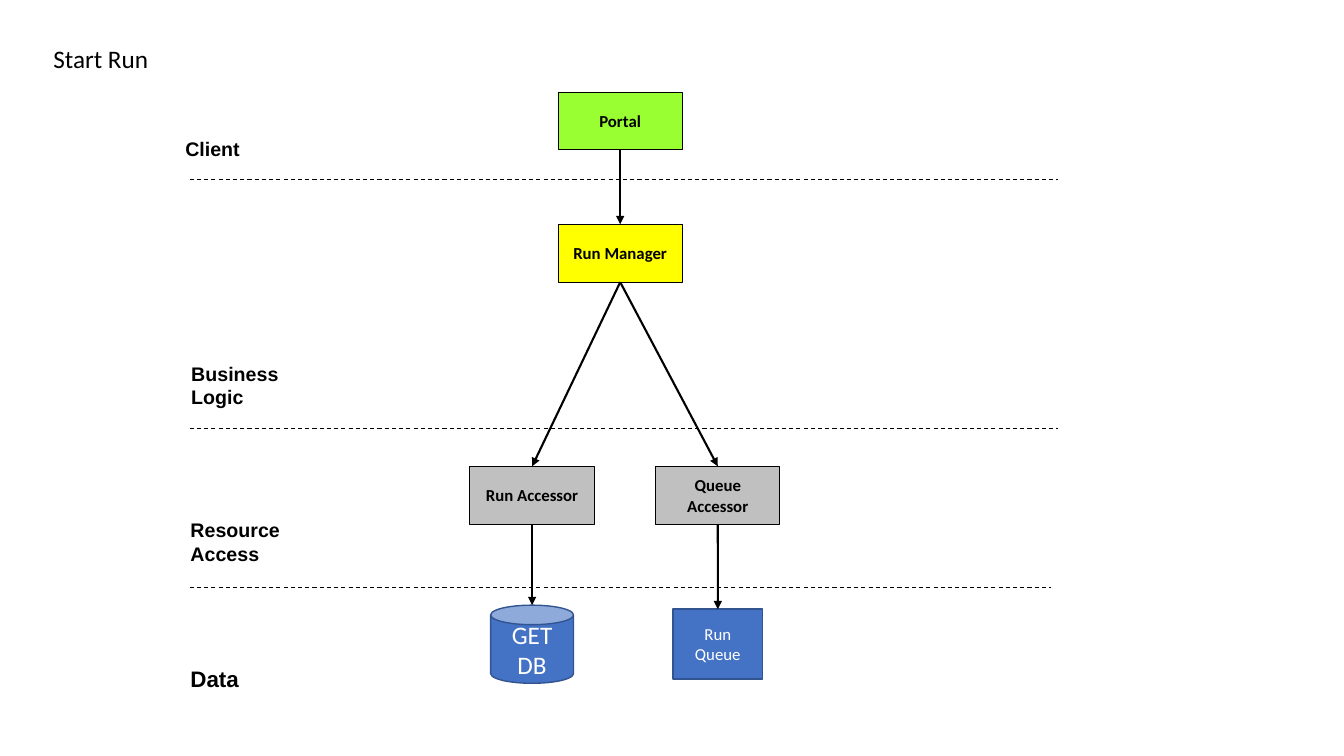
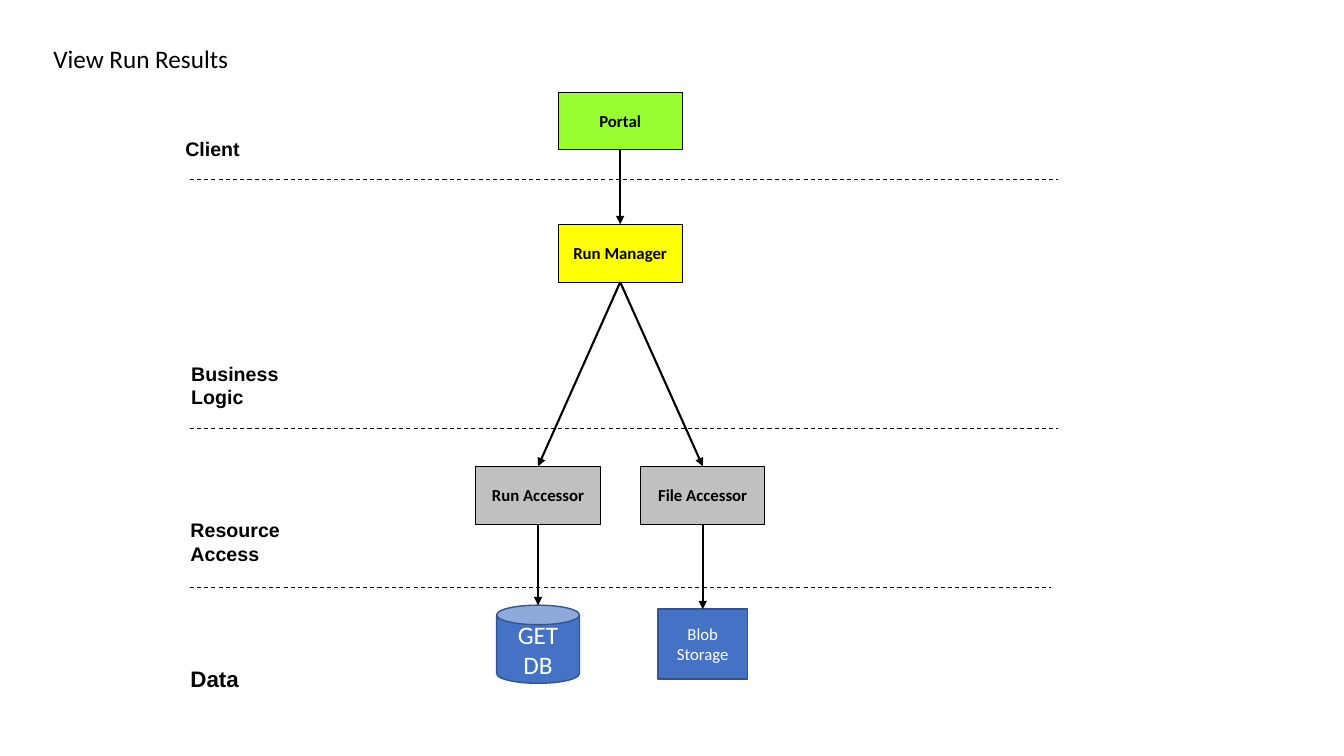
from lxml.etree import SubElement as sub
from pptx import Presentation
from pptx.dml.color import RGBColor as RGB
from pptx.enum.dml import MSO_LINE as DASH
from pptx.enum.shapes import MSO_CONNECTOR as LINK, MSO_SHAPE as SHAPE
from pptx.enum.text import MSO_ANCHOR as ANCHOR, MSO_AUTO_SIZE as FIT, PP_ALIGN as ALIGN
from pptx.oxml.ns import qn
from pptx.util import Cm, Pt

INK = {"black": "000000", "white": "FFFFFF", "green": "99FF33", "yellow": "FFFF00",
       "grey": "C0C0C0", "blue": "4472C4", "navy": "325491"}

TITLE = {"name": "Calibri", "size": Pt(18), "bold": False}
LABEL = {"name": "Arial", "size": Pt(14), "bold": True}
DATA = {**LABEL, "size": Pt(16)}
NODE = {"name": "Calibri", "size": Pt(12), "bold": True}
STORE = {**NODE, "bold": False}

# Layer dividers: right end, height
RULES = [(26.67, 4.52), (26.67, 10.79), (26.49, 14.81)]
# Layer names: left, top, text, format
LAYERS = [(4.42, 3.33, "Client", LABEL), (4.57, 8.99, "Business\vLogic", LABEL),
          (4.55, 12.93, "Resource\vAccess", LABEL), (4.55, 16.64, "Data", DATA)]
MID = 15.63
# Each flow: title, then the two branches as centre, accessor, store
FLOWS = [
    ("Start Run", (13.41, "Run Accessor", "GET DB"), (18.09, "Queue Accessor", "Run Queue")),
    ("View Run Results", (13.56, "Run Accessor", "GET DB"), (17.71, "File Accessor", "Blob Storage")),
]


def color(name):
    return RGB.from_string(INK[name])


def write(frame, text, style, ink="black", align=ALIGN.LEFT, anchor=ANCHOR.TOP):
    frame.text = text
    frame.word_wrap = True
    frame.auto_size = FIT.NONE
    frame.vertical_anchor = anchor
    para = frame.paragraphs[0]
    para.alignment = align
    for key, value in style.items():
        setattr(para.font, key, value)
    para.font.color.rgb = color(ink)


def add_title(slide, text):
    title = slide.shapes.title
    title.left, title.top, title.width, title.height = Cm(1.09), Cm(0.97), Cm(12), Cm(1.02)
    write(title.text_frame, text, TITLE)


def add_line(slide, start, end, width):
    line = slide.shapes.add_connector(LINK.STRAIGHT, *map(Cm, start + end))
    line.line.color.rgb = color("black")
    line.line.width = Pt(width)
    sub(line._element.spPr, qn("a:effectLst"))
    return line


def add_layers(slide):
    for right, y in RULES:
        add_line(slide, (4.78, y), (right, y), 0.75).line.dash_style = DASH.DASH
    for left, top, text, style in LAYERS:
        box = slide.shapes.add_textbox(Cm(left), Cm(top), Cm(3.2), Cm(1.45))
        write(box.text_frame, text, style)


def add_box(slide, mid, top, size, text, fill, style=NODE, ink="black",
            edge=("black", 0.75), kind=SHAPE.RECTANGLE):
    """Draw a captioned shape centred on mid."""
    wide, high = size
    box = slide.shapes.add_shape(kind, Cm(mid - wide / 2), Cm(top), Cm(wide), Cm(high))
    box.shadow.inherit = False
    box.fill.solid()
    box.fill.fore_color.rgb = color(fill)
    box.line.color.rgb = color(edge[0])
    box.line.width = Pt(edge[1])
    write(box.text_frame, text, style, ink, ALIGN.CENTER, ANCHOR.MIDDLE)
    return box


def add_node(slide, mid, top, text, fill):
    return add_box(slide, mid, top, (3.13, 1.46), text, fill)


def add_store(slide, mid, text, can):
    look = {"style": STORE, "ink": "white", "edge": ("navy", 1)}
    if can:
        look.update(style={**STORE, "size": Pt(18)}, kind=SHAPE.CAN)
        return add_box(slide, mid, 15.25, (2.09, 1.97), text, "blue", **look)
    return add_box(slide, mid, 15.35, (2.25, 1.76), text, "blue", **look)


def add_arrow(slide, upper, lower):
    """Join the bottom of upper to the top of lower."""
    line = add_line(slide, (0, 0), (1, 1), 1.5)
    sub(line.line._get_or_add_ln(), qn("a:tailEnd"), type="triangle")
    line.begin_connect(upper, 2)
    # A can numbers its top site 1, so the end is placed by hand
    line.end_connect(lower, int(lower.auto_shape_type == SHAPE.CAN))
    line.end_x, line.end_y = lower.left + lower.width // 2, lower.top


def add_flow(deck, title, *branches):
    slide = deck.slides.add_slide(deck.slide_layouts[5])
    add_title(slide, title)
    add_layers(slide)
    portal = add_node(slide, MID, 2.32, "Portal", "green")
    boss = add_node(slide, MID, 5.65, "Run Manager", "yellow")
    add_arrow(slide, portal, boss)
    for spot, (mid, name, data) in enumerate(branches):
        access = add_node(slide, mid, 11.75, name, "grey")
        store = add_store(slide, mid, data, can=spot == 0)
        add_arrow(slide, boss, access)
        add_arrow(slide, access, store)


def main():
    deck = Presentation()
    deck.slide_width, deck.slide_height = Cm(33.87), Cm(19.05)
    for flow in FLOWS:
        add_flow(deck, *flow)
    deck.save("out.pptx")


if __name__ == "__main__":
    main()
